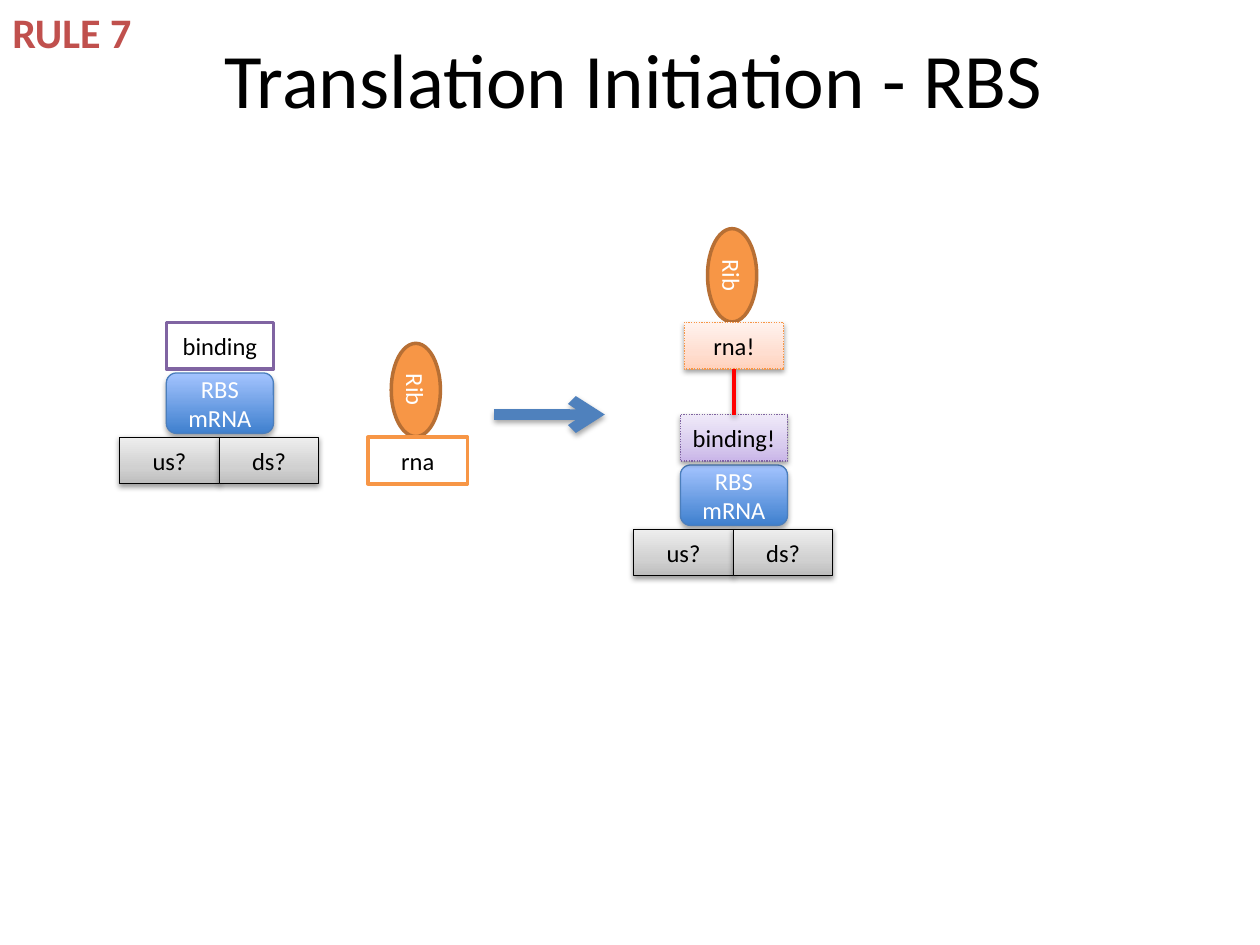
from copy import deepcopy
from lxml import etree
from pptx import Presentation
from pptx.dml.color import RGBColor
from pptx.enum import dml, shapes, text
from pptx.oxml.ns import qn
from pptx.util import Inches, Pt

GRAY = [(0, "BDBDBD"), (0.35, "D1D1D1"), (1, "EEEEEE")]
BLUE = [(0, "3F80CE"), (1, "A4C4FF")]
PURPLE = [(0, "C9B5E8"), (0.35, "D8CBEE"), (1, "F0EAF9")]
PEACH = [(0, "FFD2BD"), (0.35, "FFDED0"), (1, "FFF2ED")]
KIND = shapes.MSO_SHAPE
rgb = RGBColor.from_string


def shade(item, alpha=38, dist=1.6):
    """Cast a soft shadow straight down; call after the line is set."""
    props = item._element.spPr
    effects = props.find(qn("a:effectLst"))
    if effects is None:
        effects = etree.SubElement(props, qn("a:effectLst"))
    outer = etree.SubElement(effects, qn("a:outerShdw"), blurRad=str(Pt(3.1)),
                             dist=str(Pt(dist)), dir="5400000", rotWithShape="0")
    color = etree.SubElement(outer, qn("a:srgbClr"), val="000000")
    etree.SubElement(color, qn("a:alpha"), val=str(alpha * 1000))


def block(kind, x, y, w, h, label, fill, line, weight=0.75, ink="000000", inset=0.04):
    """Add a labelled shape; a list as fill means gradient stops, bottom to top."""
    item = slide.shapes.add_shape(kind, Inches(x), Inches(y), Inches(w), Inches(h))
    item.shadow.inherit = False
    item.line.color.rgb = rgb(line)
    item.line.width = Pt(weight)
    if isinstance(fill, list):
        item.fill.gradient()
        item.fill.gradient_angle = 90
        stops = item._element.spPr.find(".//" + qn("a:gsLst"))
        while len(stops) < len(fill):
            stops.append(deepcopy(stops[0]))
        for stop, (place, color) in zip(item.fill.gradient_stops, fill):
            stop.position = place
            stop.color.rgb = rgb(color)
    else:
        item.fill.solid()
        item.fill.fore_color.rgb = rgb(fill)
    frame = item.text_frame
    frame.text = label
    frame.word_wrap = True
    frame.vertical_anchor = text.MSO_ANCHOR.MIDDLE
    frame.margin_left = frame.margin_right = Inches(inset)
    for para in frame.paragraphs:
        para.alignment = text.PP_ALIGN.CENTER
        para.font.size = Pt(14)
        para.font.name = "Calibri"
        para.font.color.rgb = rgb(ink)
    return item


deck = Presentation()
deck.slide_width, deck.slide_height = Inches(10), Inches(7.5)
slide = deck.slides.add_slide(deck.slide_layouts[5])

title = slide.shapes.title
title.left, title.top = Inches(0.06), Inches(-0.01)
title.width, title.height = Inches(9.94), Inches(1.25)
title.text_frame.text = "Translation Initiation - RBS"
title.text_frame.vertical_anchor = text.MSO_ANCHOR.MIDDLE
head = title.text_frame.paragraphs[0]
head.alignment = text.PP_ALIGN.CENTER
head.font.size = Pt(44)
head.font.name = "Calibri"
head.font.color.rgb = rgb("000000")

# Free state on the left, bound state on the right: (bound, mRNA x, y, ribosome x, y)
sites = {}
for bound, mid, top, rib, base in [(False, 1.74, 2.56, 3.31, 3.47),
                                   (True, 5.82, 3.29, 5.82, 2.56)]:
    mark = "!" if bound else ""
    weight = 0.75 if bound else 2

    oval = block(KIND.OVAL, rib - 0.38, base - 0.57, 0.74, 0.39, "Rib",
                 "F79646", "B76F34", 2, "FFFFFF", 0.02)
    oval.rotation = 90
    rna = block(KIND.RECTANGLE, rib - 0.39, base, 0.79, 0.37, "rna" + mark,
                PEACH if bound else "FFFFFF", "F79646", weight)

    mrna = block(KIND.ROUNDED_RECTANGLE, mid - 0.42, top + 0.4, 0.85, 0.48,
                 "RBS\nmRNA", BLUE, "4B7EBC", ink="FFFFFF")
    mrna.text_frame.word_wrap = False
    shade(mrna, 35, 1.8)
    for left, label in [(mid - 0.79, "us?"), (mid, "ds?")]:
        shade(block(KIND.RECTANGLE, left, top + 0.91, 0.79, 0.37, label, GRAY, "000000"))
    site = block(KIND.RECTANGLE, mid - 0.42, top, 0.85, 0.37, "binding" + mark,
                 PURPLE if bound else "FFFFFF", "8064A2", weight)
    if bound:
        for item in (rna, site):
            item.line.dash_style = dml.MSO_LINE.ROUND_DOT
            shade(item)
    sites[bound] = rna, site

# Bond between the bound sites, and the reaction arrow
straight = shapes.MSO_CONNECTOR.STRAIGHT
bond = slide.shapes.add_connector(straight, Inches(5.82), Inches(2.93),
                                  Inches(5.82), Inches(3.29))
rna, site = sites[True]
bond.begin_connect(rna, 2)
bond.end_connect(site, 0)
arrow = slide.shapes.add_connector(straight, Inches(3.92), Inches(3.29),
                                   Inches(4.8), Inches(3.29))
for link, color, weight in [(bond, "FF0000", 2), (arrow, "4F81BD", 6)]:
    link.line.color.rgb = rgb(color)
    link.line.width = Pt(weight)
etree.SubElement(arrow.line._get_or_add_ln(), qn("a:tailEnd"), type="arrow")
shade(bond)
shade(arrow, 35, 1.8)

rule = slide.shapes.add_textbox(0, 0, Inches(1.16), Inches(0.5)).text_frame
rule.text = "RULE 7"
rule.word_wrap = False
rule.auto_size = text.MSO_AUTO_SIZE.SHAPE_TO_FIT_TEXT
font = rule.paragraphs[0].font
font.size = Pt(24)
font.name = "Calibri"
font.bold = True
font.color.rgb = rgb("C0504D")

deck.save("out.pptx")
